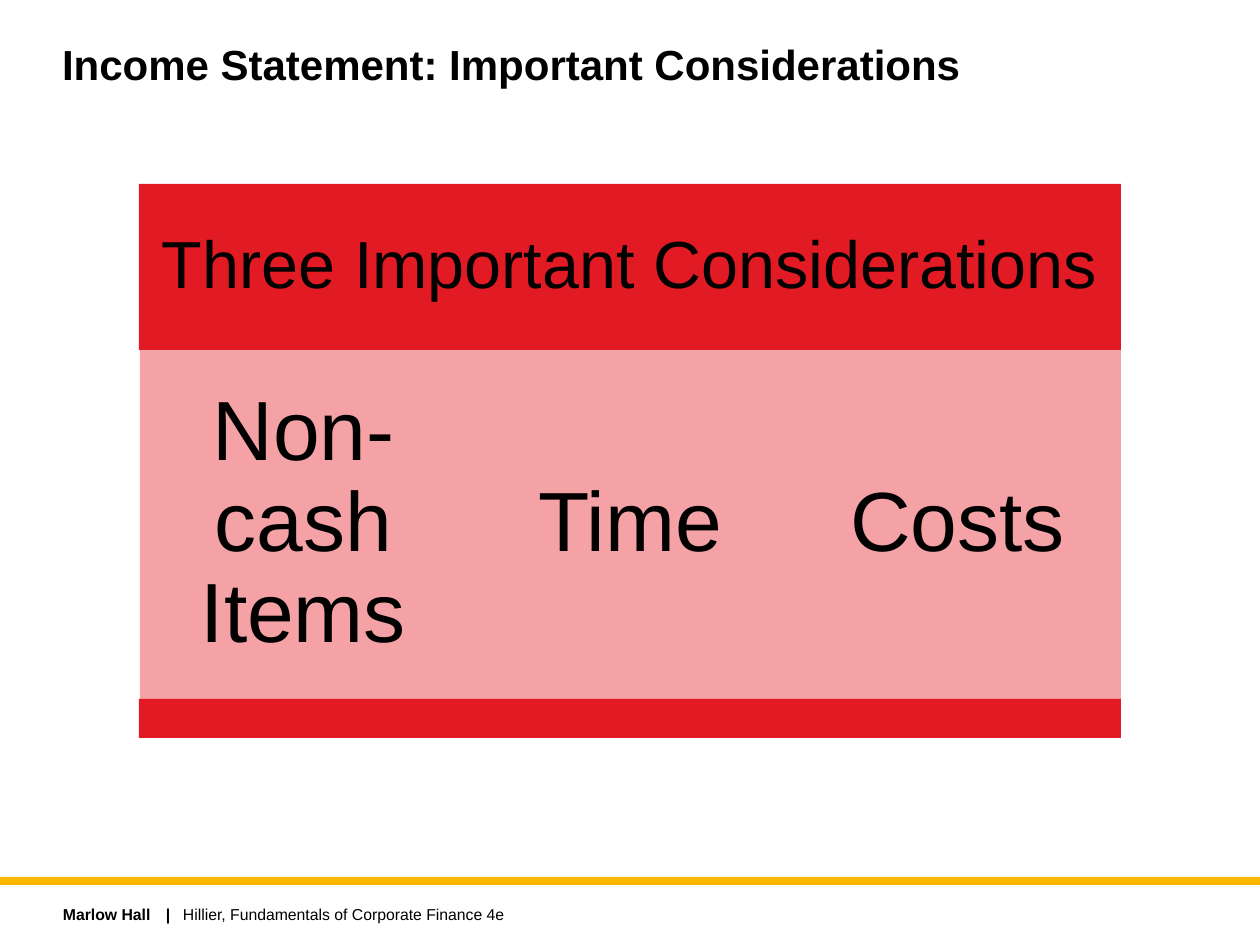
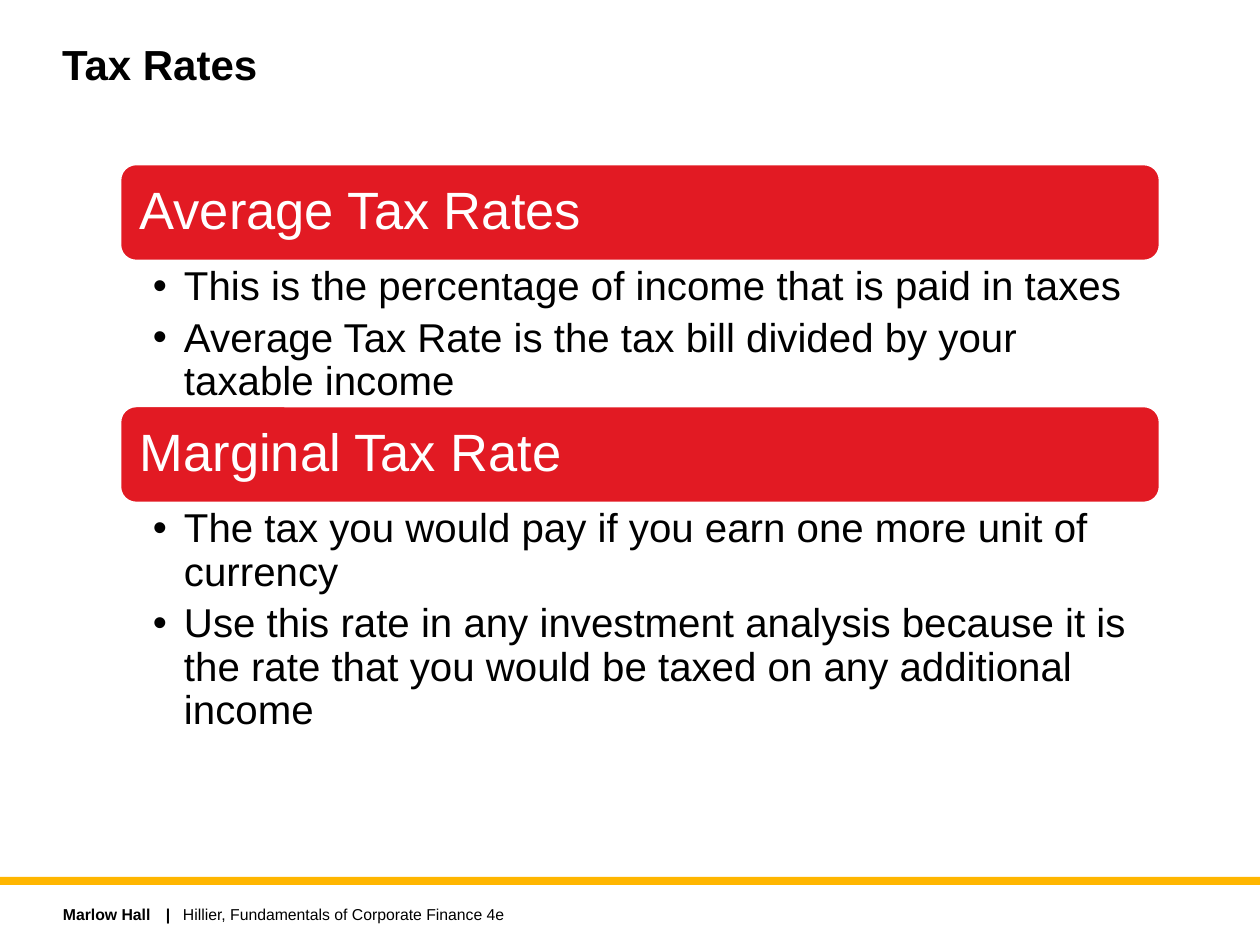
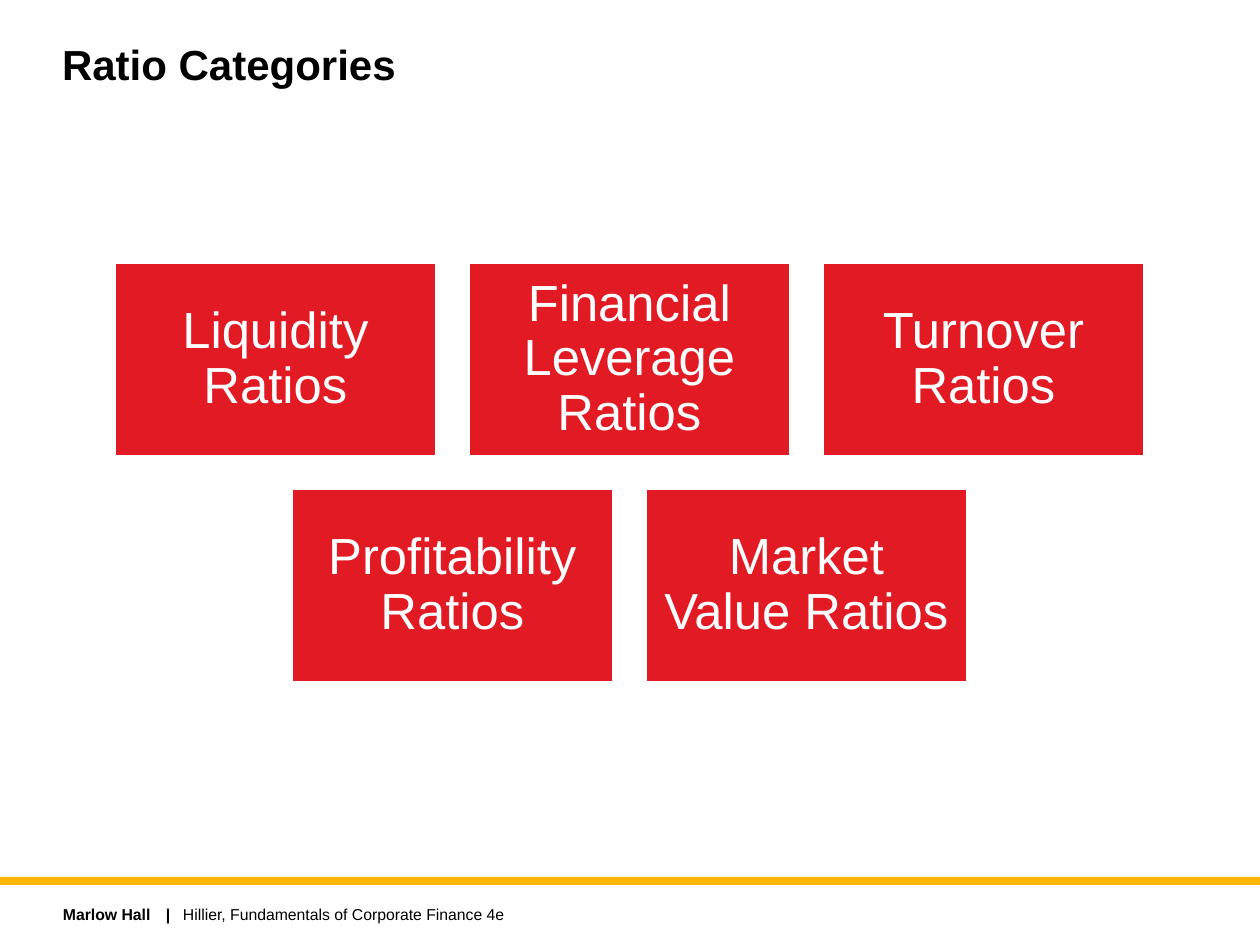
from pptx import Presentation
from pptx.dml.color import RGBColor
from pptx.enum.shapes import MSO_SHAPE
from pptx.enum.text import MSO_ANCHOR, MSO_AUTO_SIZE, PP_ALIGN
from pptx.oxml.ns import qn
from pptx.util import Emu, Pt
from lxml.etree import SubElement

BLACK = RGBColor(0, 0, 0)
WHITE = RGBColor(255, 255, 255)
RED = RGBColor(0xE2, 0x1A, 0x23)
PINK = RGBColor(0xF4, 0xA2, 0xA6)
GOLD = RGBColor(0xFF, 0xB6, 0x00)
FONT = "Arial"
WIDE, HIGH = 1260, 945
TITLE_ONLY, TWO_LISTS = 5, 3


def px(num):
    return Emu(round(num * 914400 / 126))


def place(shape, left, top, width, height):
    shape.left, shape.top = px(left), px(top)
    shape.width, shape.height = px(width), px(height)


def set_frame(frame, anchor, pads):
    frame.word_wrap = True
    frame.auto_size = MSO_AUTO_SIZE.NONE
    frame.vertical_anchor = anchor
    frame.margin_left, frame.margin_top, frame.margin_right, frame.margin_bottom = map(px, pads)


def write(para, text, size, color=BLACK, bold=False, align=PP_ALIGN.LEFT):
    para.alignment = align
    para.line_spacing = 0.9
    para.space_before = Pt(0)
    run = para.add_run()
    run.text = text
    font = run.font
    font.name, font.size, font.bold = FONT, Pt(size), bold
    font.color.rgb = color


def add_box(slide, box, fill, text="", size=0, color=WHITE, pad=15,
            kind=MSO_SHAPE.RECTANGLE, edge=False, align=PP_ALIGN.CENTER):
    shape = slide.shapes.add_shape(kind, *map(px, box))
    shape.shadow.inherit = False
    shape.fill.solid()
    shape.fill.fore_color.rgb = fill
    if edge:
        shape.line.color.rgb = WHITE
        shape.line.width = Pt(1.5)
    else:
        shape.line.fill.background()
    if text:
        set_frame(shape.text_frame, MSO_ANCHOR.MIDDLE, [pad] * 4)
        write(shape.text_frame.paragraphs[0], text, size, color, align=align)


def add_note(slide, box, text, bold=False, stop=None):
    frame = slide.shapes.add_textbox(*map(px, box)).text_frame
    set_frame(frame, MSO_ANCHOR.MIDDLE, (13, 6, 13, 6))
    para = frame.paragraphs[0]
    if stop:
        tabs = SubElement(para._p.get_or_add_pPr(), qn("a:tabLst"))
        SubElement(tabs, qn("a:tab"), pos=str(px(stop)), algn="l")
    write(para, text, 9, bold=bold)


def add_list(holder, box, items):
    place(holder, *box)
    frame = holder.text_frame
    set_frame(frame, MSO_ANCHOR.TOP, (33, 5, 29, 5))
    for spot, item in enumerate(items):
        para = frame.add_paragraph() if spot else frame.paragraphs[0]
        props = para._p.get_or_add_pPr()
        props.set("marL", str(px(31)))
        props.set("indent", str(-px(31)))
        SubElement(props, qn("a:buFont"), typeface=FONT)
        SubElement(props, qn("a:buChar"), char="•")
        para.space_after = Pt(4.5)
        write(para, item, 23)


def add_slide(deck, layout, title):
    slide = deck.slides.add_slide(deck.slide_layouts[layout])
    add_box(slide, (0, 877, WIDE, 8), GOLD)
    add_note(slide, (50, 900, 214, 31), "Marlow Hall\t|", bold=True, stop=103)
    add_note(slide, (170, 900, 756, 31), "Hillier, Fundamentals of Corporate Finance 4e")
    head = slide.shapes.title
    place(head, 49, 38, 961, 113)
    set_frame(head.text_frame, MSO_ANCHOR.TOP, (13, 6, 13, 6))
    write(head.text_frame.paragraphs[0], title, 24, bold=True)
    return slide


def add_points(deck):
    slide = add_slide(deck, TITLE_ONLY, "Income Statement: Important Considerations")
    left, width, step = 139, 982, 327
    add_box(slide, (left, 184, width, 166), RED, "Three Important Considerations", 38, BLACK, 20)
    for col, text in enumerate(("Non-cash Items", "Time", "Costs")):
        add_box(slide, (left + 1 + col * step, 350, step, 349), PINK, text, 48, BLACK, 25)
    add_box(slide, (left, 699, width, 39), RED)


def add_rates(deck):
    slide = add_slide(deck, TWO_LISTS, "Tax Rates")
    left, width, bar = 120, 1040, 97
    parts = (
        (1, 164, 145, "Average Tax Rates", (
            "This is the percentage of income that is paid in taxes",
            "Average Tax Rate is the tax bill divided by your taxable income")),
        (2, 406, 231, "Marginal Tax Rate", (
            "The tax you would pay if you earn one more unit of currency",
            "Use this rate in any investment analysis because it is the rate "
            "that you would be taxed on any additional income")),
    )
    for key, top, height, head, items in parts:
        add_box(slide, (left, top, width, bar), RED, head, 30,
                kind=MSO_SHAPE.ROUNDED_RECTANGLE, edge=True, align=PP_ALIGN.LEFT)
        add_list(slide.placeholders[key], (left, top + bar, width, height), items)


def add_ratios(deck):
    slide = add_slide(deck, TITLE_ONLY, "Ratio Categories")
    width, height, gap = 321, 193, 33
    rows = (("Liquidity Ratios", "Financial Leverage Ratios", "Turnover Ratios"),
            ("Profitability Ratios", "Market Value Ratios"))
    for row, names in enumerate(rows):
        left = (WIDE - len(names) * (width + gap) + gap) // 2
        top = 263 + row * (height + gap)
        for col, name in enumerate(names):
            add_box(slide, (left + col * (width + gap), top, width, height),
                    RED, name, 29, edge=True)


def main():
    deck = Presentation()
    deck.slide_width, deck.slide_height = px(WIDE), px(HIGH)
    add_points(deck)
    add_rates(deck)
    add_ratios(deck)
    deck.save("out.pptx")


if __name__ == "__main__":
    main()
